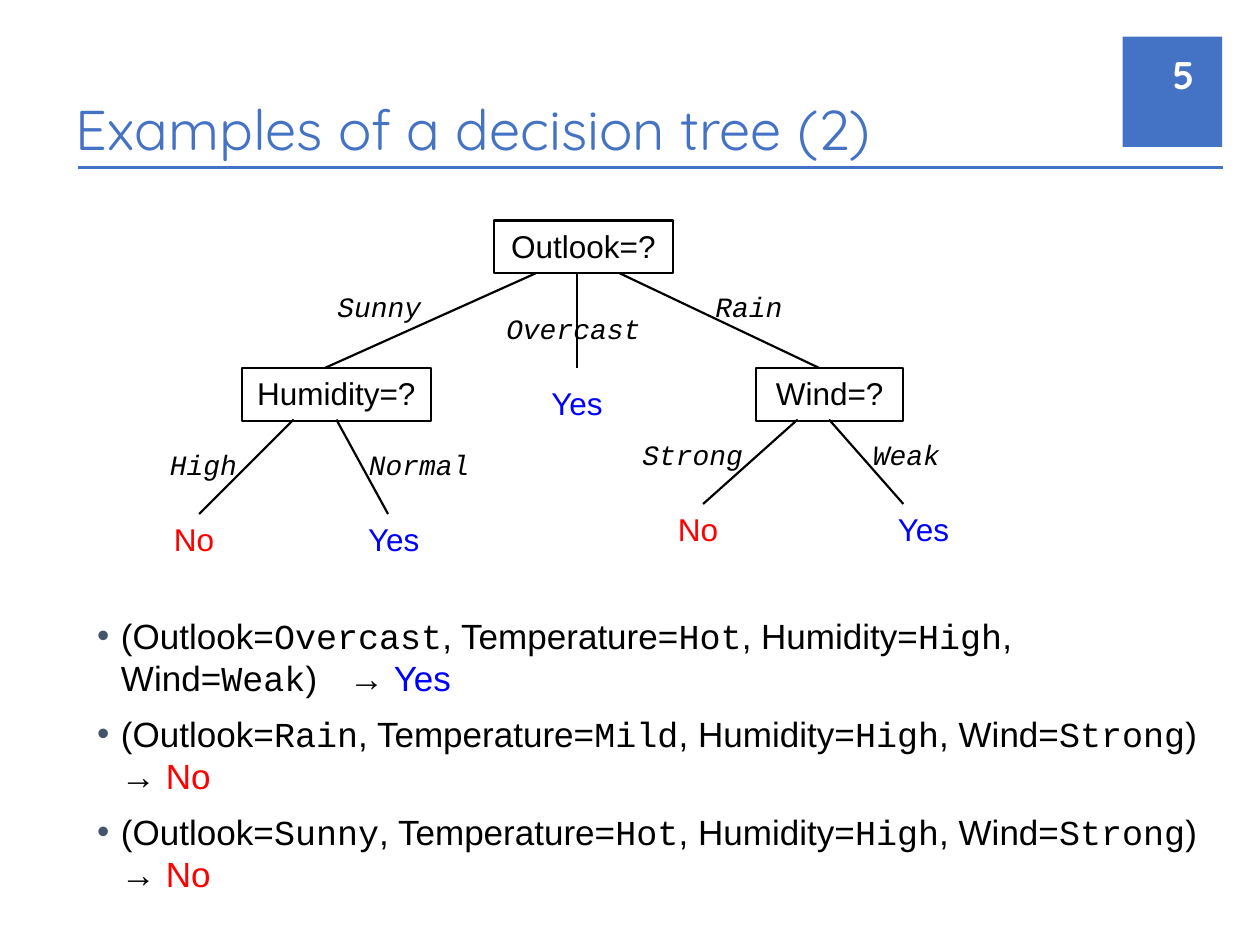
from dataclasses import dataclass

from lxml import etree
from pptx import Presentation
from pptx.dml.color import RGBColor
from pptx.enum.shapes import MSO_CONNECTOR as CONN, MSO_SHAPE as SHAPE
from pptx.enum.text import MSO_ANCHOR as ANCHOR, MSO_AUTO_SIZE as AUTO, PP_ALIGN as ALIGN
from pptx.oxml.ns import qn
from pptx.util import Inches, Pt


@dataclass(frozen=True)
class Theme:
    accent: str = "4472C4"
    white: str = "FFFFFF"
    black: str = "000000"
    bullet: str = "44546A"
    yes: str = "0000FF"
    no: str = "FF0000"
    heading: str = "Quicksand"
    sans: str = "Arial"
    mono: str = "Courier New"
    title_size: int = 32
    number_size: int = 22
    body_size: int = 20
    node_size: int = 18
    branch_size: int = 16
    line_width: float = 1.25
    rule_width: float = 2

    def answer(self, text):
        return self.yes if text == "Yes" else self.no


def rgb(value):
    return RGBColor.from_string(value)


def add_text(p, text, font, size, color, bold=False, italic=False, align=None):
    r = p.add_run()
    r.text = text
    r.font.name = font
    r.font.size = Pt(size)
    r.font.bold = bold
    r.font.italic = italic
    r.font.color.rgb = rgb(color)
    if align is not None:
        p.alignment = align


def place(sp, box):
    sp.left, sp.top, sp.width, sp.height = map(Inches, box)


class SlideBuilder:
    def __init__(self, slide, theme):
        self.slide = slide
        self.theme = theme
        self.shapes = slide.shapes

    def title(self, text, box):
        t = self.theme
        sp = self.slide.shapes.title
        place(sp, box)
        tf = sp.text_frame
        tf.auto_size = AUTO.NONE
        tf.vertical_anchor = ANCHOR.BOTTOM
        add_text(tf.paragraphs[0], text, t.heading, t.title_size, t.accent, align=ALIGN.LEFT)

    def rect(self, box, fill=None, line=None, width=1):
        sp = self.shapes.add_shape(SHAPE.RECTANGLE, *map(Inches, box))
        sp.shadow.inherit = False
        if fill:
            sp.fill.solid()
            sp.fill.fore_color.rgb = rgb(fill)
        else:
            sp.fill.background()
        if line:
            sp.line.color.rgb = rgb(line)
            sp.line.width = Pt(width)
        else:
            sp.line.fill.background()
        return sp

    def line(self, start, end, color, width):
        ends = map(Inches, (*start, *end))
        cn = self.shapes.add_connector(CONN.STRAIGHT, *ends)
        cn.line.color.rgb = rgb(color)
        cn.line.width = Pt(width)
        etree.SubElement(cn._element.spPr, qn("a:effectLst"))

    def label(self, text, box, anchor=ANCHOR.TOP, **style):
        tf = self.shapes.add_textbox(*map(Inches, box)).text_frame
        tf.word_wrap = True
        tf.vertical_anchor = anchor
        add_text(tf.paragraphs[0], text, **style)

    def node(self, text, left, top, width):
        t = self.theme
        sp = self.rect((left, top, width, 0.42), line=t.black, width=t.line_width)
        tf = sp.text_frame
        tf.vertical_anchor = ANCHOR.TOP
        add_text(tf.paragraphs[0], text, t.sans, t.node_size, t.black, align=ALIGN.CENTER)

    def leaf(self, text, left, top, width):
        t = self.theme
        self.label(text, (left, top, width, 0.4), font=t.sans, size=t.node_size,
                   color=t.answer(text), align=ALIGN.CENTER)

    def branch(self, text, left, top, width, start, end):
        t = self.theme
        self.line(start, end, t.black, t.line_width)
        self.label(text, (left, top, width, 0.37), font=t.mono, size=t.branch_size,
                   color=t.black, italic=True)

    def tree(self, nodes, branches, leaves):
        self.shapes = self.slide.shapes.add_group_shape().shapes
        for node in nodes:
            self.node(*node)
        for branch in branches:
            self.branch(*branch)
        for leaf in leaves:
            self.leaf(*leaf)
        self.shapes = self.slide.shapes

    def bullet(self, p):
        pPr = p._p.get_or_add_pPr()
        pPr.set("marL", str(Inches(0.19)))
        pPr.set("indent", str(-Inches(0.19)))
        color = etree.SubElement(pPr, qn("a:buClr"))
        etree.SubElement(color, qn("a:srgbClr"), val=self.theme.bullet)
        etree.SubElement(pPr, qn("a:buFont"), typeface=self.theme.sans)
        etree.SubElement(pPr, qn("a:buChar"), char="•")

    def examples(self, names, rows, box):
        t = self.theme
        sp = self.slide.placeholders[1]
        place(sp, box)
        tf = sp.text_frame
        tf.auto_size = AUTO.NONE
        for i, (*values, answer) in enumerate(rows):
            p = tf.add_paragraph() if i else tf.paragraphs[0]
            p.space_before = Pt(8 if i else 4)
            self.bullet(p)
            for j, (name, value) in enumerate(zip(names, values)):
                lead = ", " if j else "("
                add_text(p, f"{lead}{name}=", t.sans, t.body_size, t.black)
                add_text(p, value, t.mono, t.body_size, t.black)
            add_text(p, ")\t→ ", t.sans, t.body_size, t.black)
            add_text(p, answer, t.sans, t.body_size, t.answer(answer))


NODES = [
    ("Outlook=?", 3.92, 1.75, 1.42),
    ("Humidity=?", 1.92, 2.92, 1.5),
    ("Wind=?", 6, 2.92, 1.17),
]
BRANCHES = [
    ("Sunny", 2.58, 2.25, 0.92, (4.25, 2.17), (2.58, 2.92)),
    ("Overcast", 3.92, 2.42, 1.33, (4.58, 2.17), (4.58, 2.92)),
    ("Rain", 5.58, 2.25, 0.75, (4.92, 2.17), (6.5, 2.92)),
    ("High", 1.25, 3.5, 0.83, (2.33, 3.33), (1.58, 4.08)),
    ("Normal", 2.83, 3.5, 1.08, (2.67, 3.33), (3.08, 4.08)),
    ("Strong", 5, 3.42, 1.08, (6.33, 3.33), (5.58, 4)),
    ("Weak", 6.83, 3.42, 0.75, (6.58, 3.33), (7.17, 4)),
]
LEAVES = [
    ("Yes", 4.08, 3, 1),
    ("No", 1.25, 4.08, 0.58),
    ("Yes", 2.75, 4.08, 0.75),
    ("No", 5.25, 4, 0.58),
    ("Yes", 6.83, 4, 1),
]
ATTRIBUTES = ["Outlook", "Temperature", "Humidity", "Wind"]
EXAMPLES = [
    ("Overcast", "Hot", "High", "Weak", "Yes"),
    ("Rain", "Mild", "High", "Strong", "No"),
    ("Sunny", "Hot", "High", "Strong", "No"),
]


def main():
    prs = Presentation()
    prs.slide_width, prs.slide_height = Inches(10), Inches(7.5)
    t = Theme()
    s = SlideBuilder(prs.slides.add_slide(prs.slide_layouts[1]), t)
    s.rect((8.91, 0.29, 0.79, 1.8), fill=t.accent)
    s.rect((8.75, 1.17, 1.17, 1.08), fill=t.white, line=t.white)
    s.title("Examples of a decision tree (2)", (0.5, 0.5, 9.25, 0.83))
    s.line((0.62, 1.33), (9.71, 1.33), t.accent, t.rule_width)
    s.label("5", (9.03, 0.39, 0.55, 0.4), anchor=ANCHOR.MIDDLE, font=t.heading,
            size=t.number_size, color=t.white, bold=True, align=ALIGN.RIGHT)
    s.examples(ATTRIBUTES, EXAMPLES, (0.67, 4.83, 9.08, 2.42))
    s.tree(NODES, BRANCHES, LEAVES)
    prs.save("out.pptx")


if __name__ == "__main__":
    main()
